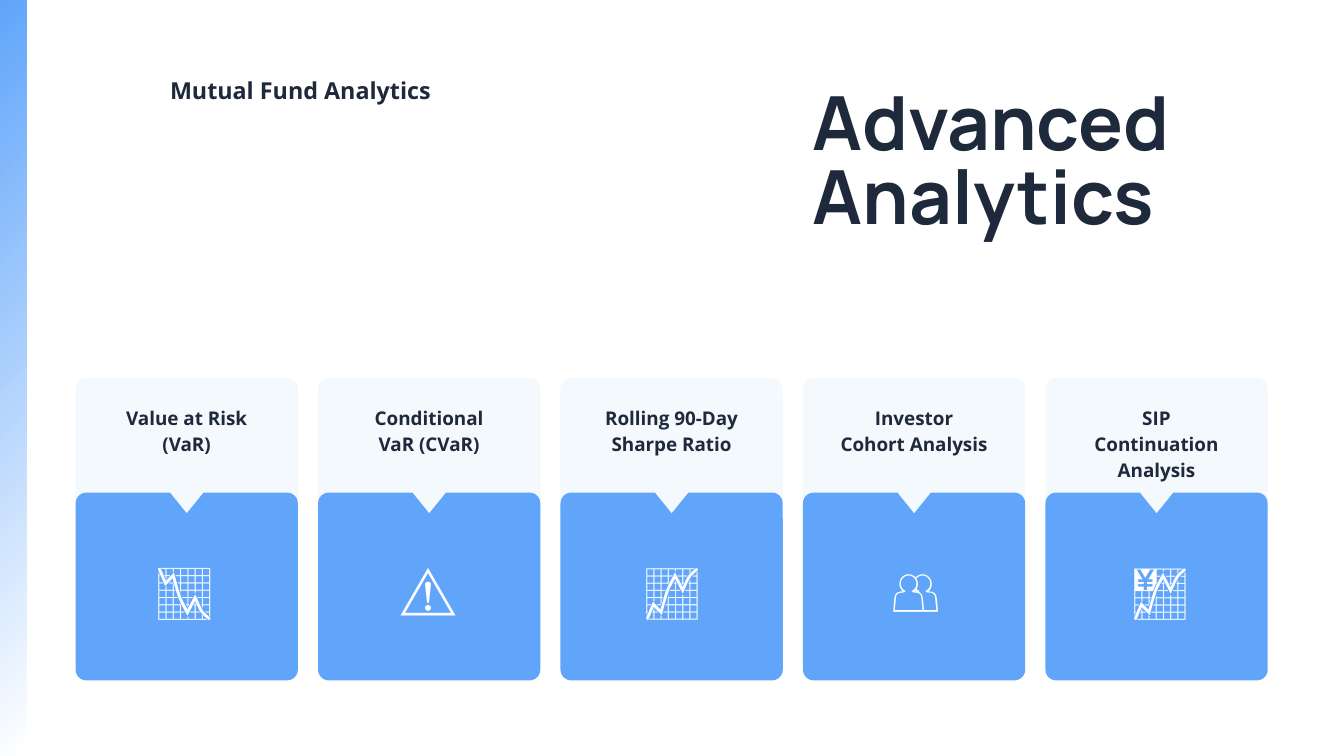
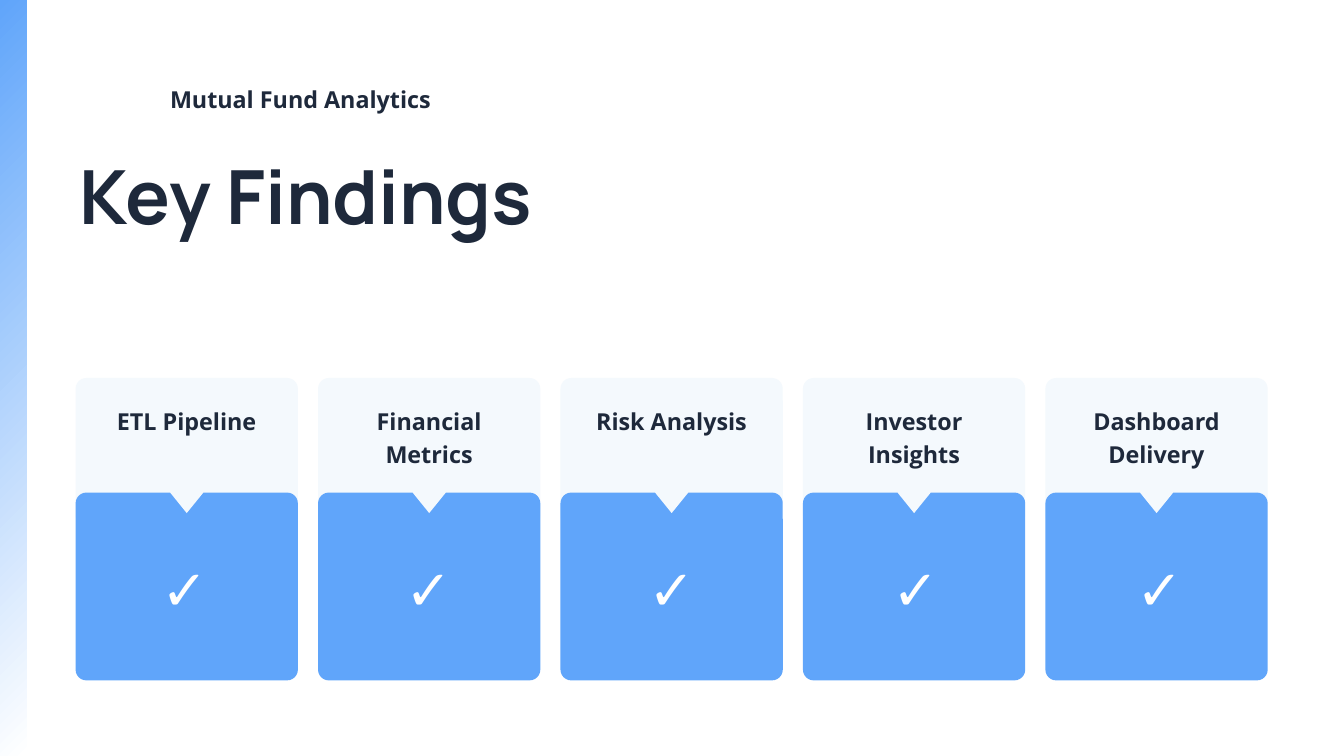
from dataclasses import dataclass

from pptx import Presentation
from pptx.dml.color import RGBColor
from pptx.enum.shapes import MSO_SHAPE as Shape
from pptx.enum.text import MSO_AUTO_SIZE as AutoSize, PP_ALIGN as Align
from pptx.util import Inches, Pt

# The page is a grid of 200 columns by 112.5 rows of square cells.
CELL = Inches(0.1)
POINTS_PER_CELL = 7.2


@dataclass(frozen=True)
class TextStyle:
    font: str
    size: float
    leading: float
    color: str
    align: Align = Align.LEFT


class Theme:
    blue = "60A5FA"
    pale = "F4F9FD"
    white = "FFFFFF"
    ink = "1E293B"
    title = TextStyle("Manrope", 80, 78.4, ink)
    topic = TextStyle("Open Sans", 25, 35, ink)
    label_small = TextStyle("Open Sans", 20.2, 28.3, ink, Align.CENTER)
    label_large = TextStyle("Open Sans", 25, 35, ink, Align.CENTER)
    icon = TextStyle("Manrope", 60, 58.8, white, Align.CENTER)


@dataclass(frozen=True)
class Box:
    left: float
    top: float
    width: float
    height: float

    def inner(self, left, top, width, height):
        """A box measured from this box's top left corner."""
        return Box(self.left + left, self.top + top, width, height)

    def column(self, index, count, gap):
        width = (self.width - gap * (count - 1)) / count
        return self.inner(index * (width + gap), 0, width, self.height)

    def lengths(self):
        return [round(n * CELL) for n in (self.left, self.top, self.width, self.height)]


@dataclass(frozen=True)
class Card:
    label: str
    icon: str
    rows: int = 2


PAGE = Box(0, 0, 200, 112.5)
CARDS = PAGE.inner(11.25, 56.25, 177.4, 45)
CARD_GAP = 3
CORNER = 1.6


def add_text(page, box, text, style):
    frame = page.shapes.add_textbox(*box.lengths()).text_frame
    frame.margin_left = frame.margin_top = frame.margin_right = frame.margin_bottom = 0
    frame.word_wrap = True
    frame.auto_size = AutoSize.SHAPE_TO_FIT_TEXT
    for index, line in enumerate(text.split("\n")):
        para = frame.add_paragraph() if index else frame.paragraphs[0]
        para.alignment = style.align
        para.line_spacing = Pt(style.leading)
        span = para.add_run()
        span.text = line
        span.font.name = style.font
        span.font.size = Pt(style.size)
        span.font.bold = True
        span.font.color.rgb = RGBColor.from_string(style.color)


def add_plain_shape(page, kind, box, color):
    shape = page.shapes.add_shape(kind, *box.lengths())
    shape.shadow.inherit = False
    shape.line.fill.background()
    shape.fill.solid()
    shape.fill.fore_color.rgb = RGBColor.from_string(color)
    return shape


def add_panel(page, box, color):
    panel = add_plain_shape(page, Shape.ROUNDED_RECTANGLE, box, color)
    panel.adjustments[0] = CORNER / min(box.width, box.height)


def add_side_band(page, box):
    band = add_plain_shape(page, Shape.RECTANGLE, box, Theme.blue)
    band.fill.gradient()
    band.fill.gradient_angle = 315
    for stop, color in zip(band.fill.gradient_stops, (Theme.blue, Theme.white)):
        stop.color.rgb = RGBColor.from_string(color)


def add_card(page, box, card, label_style, icon_shift):
    add_panel(page, box.inner(0, 0, box.width, 22), Theme.pale)
    add_panel(page, box.inner(0, 17.05, box.width, 27.95), Theme.blue)
    pointer = box.inner(box.width / 2 - 2.47, 14, 4.94, 6.1)
    add_plain_shape(page, Shape.DIAMOND, pointer, Theme.pale)
    label_height = card.rows * label_style.leading / POINTS_PER_CELL
    add_text(page, box.inner(3.37, 3.65, 26.3, label_height), card.label, label_style)
    add_text(page, box.inner(4.5 + icon_shift, 28.15, 23.5, 9.2), card.icon, Theme.icon)


def add_card_row(page, box, cards, label_style):
    for index, card in enumerate(cards):
        column = box.column(index, len(cards), CARD_GAP)
        add_card(page, column, card, label_style, icon_shift=0.2 * index)


def add_card_page(deck, title, title_box, topic_top, cards, label_style):
    page = deck.slides.add_slide(deck.slide_layouts[6])
    add_side_band(page, PAGE.inner(0, 0, 4, PAGE.height))
    add_card_row(page, CARDS, cards, label_style)
    add_text(page, title_box, title, Theme.title)
    topic_box = PAGE.inner(25.3, topic_top, 43.5, 4.6)
    add_text(page, topic_box, "Mutual Fund Analytics", Theme.topic)


def main():
    deck = Presentation()
    deck.slide_width, deck.slide_height = PAGE.lengths()[2:]

    analytics = [
        Card("Value at Risk\n(VaR)", "📉"),
        Card("Conditional\nVaR (CVaR)", "⚠️"),
        Card("Rolling 90-Day\nSharpe Ratio", "📈"),
        Card("Investor\nCohort Analysis", "👥"),
        Card("SIP\nContinuation\nAnalysis", "💹", rows=3),
    ]
    add_card_page(deck, "Advanced\nAnalytics", PAGE.inner(120.9, 13.8, 71.9, 23.2),
                  10.7, analytics, Theme.label_small)

    findings = [
        Card("ETL Pipeline", "✓", rows=1),
        Card("Financial Metrics", "✓"),
        Card("Risk Analysis", "✓", rows=1),
        Card("Investor Insights", "✓"),
        Card("Dashboard Delivery", "✓"),
    ]
    add_card_page(deck, "Key Findings", PAGE.inner(11.9, 24.7, 76.3, 12.3),
                  12, findings, Theme.label_large)

    deck.save("out.pptx")


if __name__ == "__main__":
    main()
